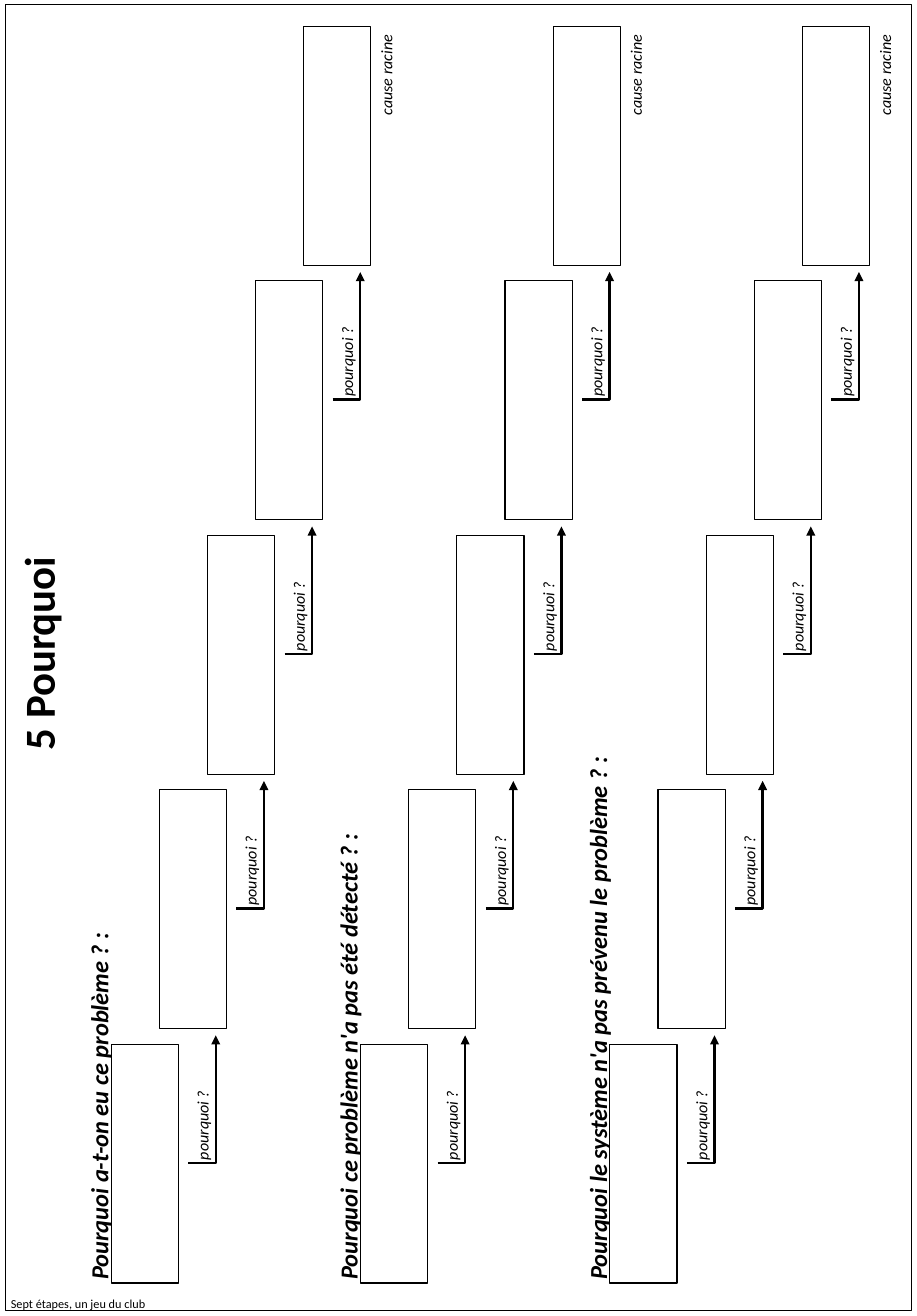
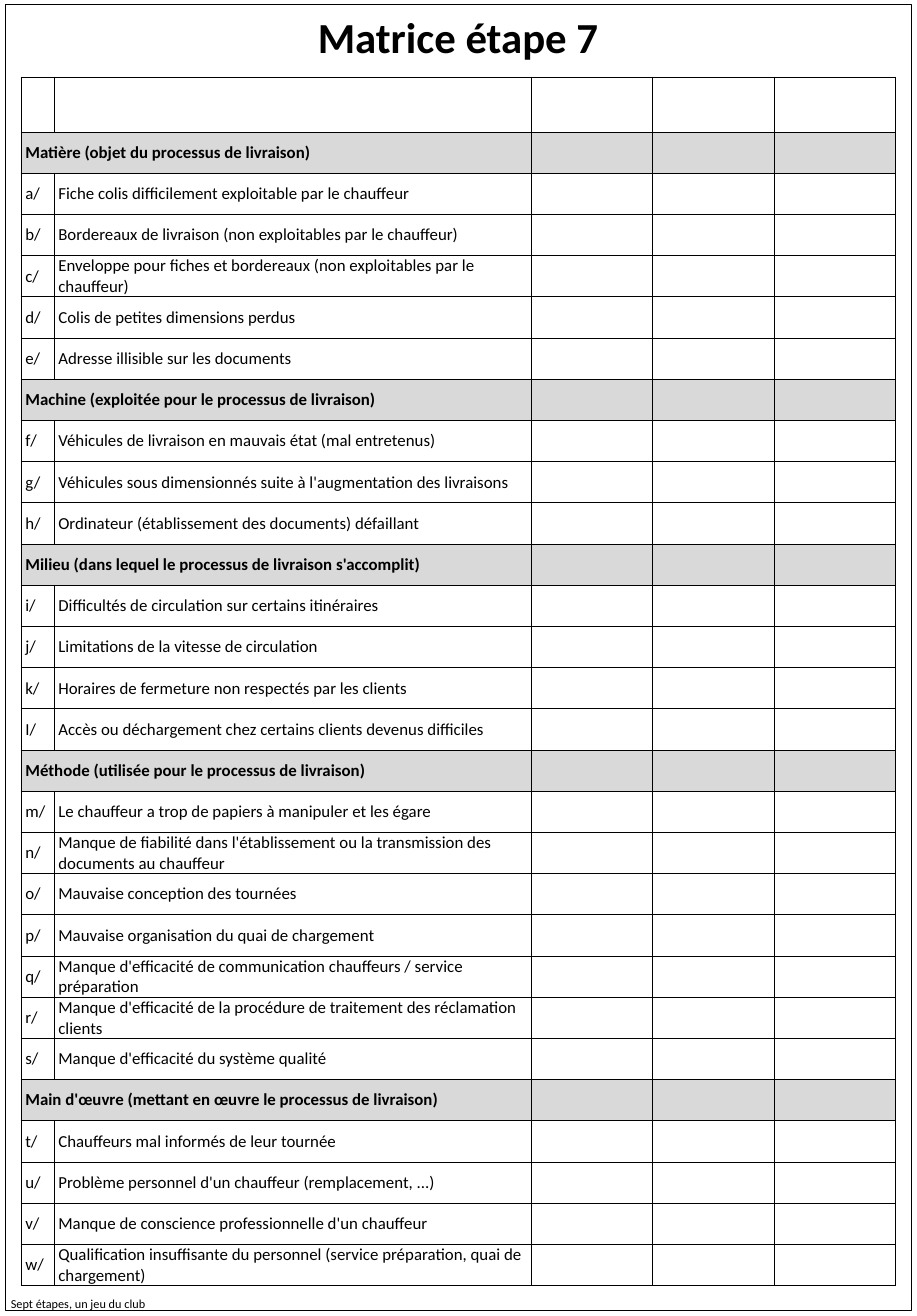
from lxml import etree
from pptx import Presentation
from pptx.dml.color import RGBColor
from pptx.enum.shapes import MSO_SHAPE
from pptx.enum.text import MSO_ANCHOR, MSO_AUTO_SIZE, PP_ALIGN
from pptx.oxml.ns import qn
from pptx.util import Inches, Pt

BLACK = RGBColor(0x00, 0x00, 0x00)
WHITE = RGBColor(0xFF, 0xFF, 0xFF)
GREY = RGBColor(0xD9, 0xD9, 0xD9)
FONT = "Calibri"
RECTANGLE = MSO_SHAPE.RECTANGLE
LEFT, CENTER, RIGHT, JUSTIFY = (
    PP_ALIGN.LEFT, PP_ALIGN.CENTER, PP_ALIGN.RIGHT, PP_ALIGN.JUSTIFY)
TOP, MIDDLE = MSO_ANCHOR.TOP, MSO_ANCHOR.MIDDLE
GROW = MSO_AUTO_SIZE.SHAPE_TO_FIT_TEXT
TITLE_ONLY = 5

# Staircases of the "5 Pourquoi" page, in inches
QUESTIONS = [
    ("Pourquoi a-t-on eu ce problème ? :", 3.5),
    ("Pourquoi ce problème n'a pas été détecté ? :", 5.08),
    ("Pourquoi le système n'a pas prévenu le problème ? :", 5.08),
]
ANSWERS = 5
LANE_PITCH = 4.53 / 2
STEP_ACROSS = 1.75 / (ANSWERS - 1)
STEP_UP = 9.25 / (ANSWERS - 1)
FIRST_X, FIRST_Y = 1.01, 9.49
ANSWER_W, ANSWER_H = 0.61, 2.17
QUESTION_X, QUESTION_BOTTOM, QUESTION_W = 0.54, 11.73, 0.49

# Causes of the matrix, by family
LETTERS = "abcdefghijkImnopqrstuvw"
FAMILIES = {
    "Matière (objet du processus de livraison)": [
        "Fiche colis difficilement exploitable par le chauffeur",
        "Bordereaux de livraison (non exploitables par le chauffeur)",
        "Enveloppe pour fiches et bordereaux (non exploitables par le chauffeur)",
        "Colis de petites dimensions perdus",
        "Adresse illisible sur les documents",
    ],
    "Machine (exploitée pour le processus de livraison)": [
        "Véhicules de livraison en mauvais état (mal entretenus)",
        "Véhicules sous dimensionnés suite à l'augmentation des livraisons",
        "Ordinateur (établissement des documents) défaillant",
    ],
    "Milieu (dans lequel le processus de livraison s'accomplit)": [
        "Difficultés de circulation sur certains itinéraires",
        "Limitations de la vitesse de circulation",
        "Horaires de fermeture non respectés par les clients",
        "Accès ou déchargement chez certains clients devenus difficiles",
    ],
    "Méthode (utilisée pour le processus de livraison)": [
        "Le chauffeur a trop de papiers à manipuler et les égare",
        "Manque de fiabilité dans l'établissement ou la transmission des "
        "documents au chauffeur",
        "Mauvaise conception des tournées",
        "Mauvaise organisation du quai de chargement",
        "Manque d'efficacité de communication chauffeurs / service préparation",
        "Manque d'efficacité de la procédure de traitement des réclamation clients",
        "Manque d'efficacité du système qualité",
    ],
    "Main d'œuvre (mettant en œuvre le processus de livraison)": [
        "Chauffeurs mal informés de leur tournée",
        "Problème personnel d'un chauffeur (remplacement, ...)",
        "Manque de conscience professionnelle d'un chauffeur",
        "Qualification insuffisante du personnel (service préparation, quai de "
        "chargement)",
    ],
}
COLUMN_WIDTHS = [0.3, 4.34, 1.1, 1.1, 1.1]
HEADER_HEIGHT, MATRIX_HEIGHT = 0.5, 10.99


# Text and placement
def write(frame, text, size, bold=False, italic=False, align=LEFT):
    paragraph = frame.paragraphs[0]
    paragraph.alignment = align
    run = paragraph.add_run()
    run.text = text
    font = run.font
    font.name, font.size = FONT, Pt(size)
    font.bold, font.italic = bold, italic
    font.color.rgb = BLACK
    return paragraph


def turned(x, y, width, height):
    """Frame which, turned by 270 degrees, covers the given area."""
    return (Inches(x + (width - height) / 2), Inches(y + (height - width) / 2),
            Inches(height), Inches(width))


def add_label(slide, area, text, size, upward=True, wrap=True, **style):
    place = turned(*area) if upward else [Inches(v) for v in area]
    label = slide.shapes.add_textbox(*place)
    label.rotation = 270 if upward else 0
    label.text_frame.word_wrap = wrap
    label.text_frame.auto_size = GROW
    paragraph = write(label.text_frame, text, size, **style)
    return label, paragraph


def set_title(slide, text, place, rotation=0):
    title = slide.shapes.title
    title.left, title.top, title.width, title.height = place
    title.rotation = rotation
    frame = title.text_frame
    frame.vertical_anchor, frame.auto_size = TOP, GROW
    write(frame, text, 28, bold=True, align=CENTER)


# Shapes
def add_box(slide, place, rotation=0, filled=True):
    box = slide.shapes.add_shape(RECTANGLE, *place)
    box.rotation = rotation
    box.shadow.inherit = False
    if filled:
        box.fill.solid()
        box.fill.fore_color.rgb = WHITE
    else:
        box.fill.background()
    box.line.color.rgb = BLACK
    box.line.width = Pt(0.75)
    return box


def add_bent_arrow(slide, points):
    start, *others = [(Inches(x), Inches(y)) for x, y in points]
    builder = slide.shapes.build_freeform(*start)
    builder.add_line_segments(others, close=False)
    arrow = builder.convert_to_shape()
    arrow.shadow.inherit = False
    arrow.fill.background()
    arrow.line.color.rgb = BLACK
    arrow.line.width = Pt(1.5)
    etree.SubElement(arrow.line._get_or_add_ln(), qn("a:tailEnd"), type="triangle")


# Page frame and footer, kept on the slide master
def move_page_frame_to_master(prs, slide):
    border = add_box(slide, [Inches(v) for v in (0.05, 0.04, 8.23, 11.87)],
                     filled=False)
    footer, _ = add_label(slide, (0, 11.73, 2.83, 0.23),
                          "Sept étapes, un jeu du club", 8, upward=False)
    for shared in (border, footer):
        prs.slide_master.element.cSld.spTree.append(shared.element)


# Five whys
def add_staircase(slide, lane, question, length):
    shift = lane * LANE_PITCH
    _, heading = add_label(
        slide, (QUESTION_X + shift, QUESTION_BOTTOM - length, QUESTION_W, length),
        question, 16, bold=True, italic=True, align=JUSTIFY)
    heading.line_spacing = 1.65
    for step in range(ANSWERS):
        x = FIRST_X + shift + step * STEP_ACROSS
        y = FIRST_Y - step * STEP_UP
        add_box(slide, turned(x, y, ANSWER_W, ANSWER_H), rotation=270)
        if step < ANSWERS - 1:
            add_bent_arrow(slide, [(x + 0.7, y + 1.08), (x + 0.95, y + 1.08),
                                   (x + 0.95, y - 0.08)])
            add_label(slide, (x + 0.69, y + 0.31, 0.29, 0.84), "pourquoi ?",
                      10.5, wrap=False, italic=True)
        else:
            add_label(slide, (x + ANSWER_W, y - 0.02, 0.29, 1.69), "cause racine",
                      10.5, italic=True, align=RIGHT)


# Matrix
def format_cell(cell, fill):
    cell.vertical_anchor = MIDDLE
    cell.margin_left = cell.margin_right = Inches(0.04)
    cell.margin_top = cell.margin_bottom = 0
    properties = cell._tc.get_or_add_tcPr()
    for side in ("a:lnL", "a:lnR", "a:lnT", "a:lnB"):
        border = etree.SubElement(properties, qn(side), w=str(Pt(0.5)))
        colour = etree.SubElement(border, qn("a:solidFill"))
        etree.SubElement(colour, qn("a:srgbClr"), val=str(BLACK))
    cell.fill.solid()
    cell.fill.fore_color.rgb = fill


def add_matrix(slide):
    letters = iter(LETTERS)
    rows = [None]
    for family, causes in FAMILIES.items():
        rows.append((family,))
        rows += [(f"{next(letters)}/", cause) for cause in causes]

    matrix = slide.shapes.add_table(
        len(rows), len(COLUMN_WIDTHS), Inches(0.19), Inches(0.7),
        Inches(sum(COLUMN_WIDTHS)), Inches(MATRIX_HEIGHT)).table
    matrix.first_row = matrix.horz_banding = False
    for column, width in zip(matrix.columns, COLUMN_WIDTHS):
        column.width = Inches(width)
    row_height = (MATRIX_HEIGHT - HEADER_HEIGHT) / (len(rows) - 1)

    for index, texts in enumerate(rows):
        is_family = texts is not None and len(texts) == 1
        matrix.rows[index].height = Inches(row_height if index else HEADER_HEIGHT)
        cells = matrix.rows[index].cells
        for cell in cells:
            format_cell(cell, GREY if is_family else WHITE)
        if is_family:
            cells[0].merge(cells[1])
        for cell, text in zip(cells, texts or ()):
            write(cell.text_frame, text, 11, bold=is_family)


def main():
    prs = Presentation()
    prs.slide_width, prs.slide_height = Inches(8.33), Inches(11.96)
    layout = prs.slide_layouts[TITLE_ONLY]

    whys = prs.slides.add_slide(layout)
    move_page_frame_to_master(prs, whys)
    set_title(whys, "5 Pourquoi", turned(0.06, 0.22, 0.58, 11.44), rotation=270)
    for lane, (question, length) in enumerate(QUESTIONS):
        add_staircase(whys, lane, question, length)

    causes = prs.slides.add_slide(layout)
    set_title(causes, "Matrice étape 7",
              [Inches(v) for v in (0.54, 0.05, 7.24, 0.58)])
    add_matrix(causes)

    prs.save("out.pptx")


if __name__ == "__main__":
    main()
